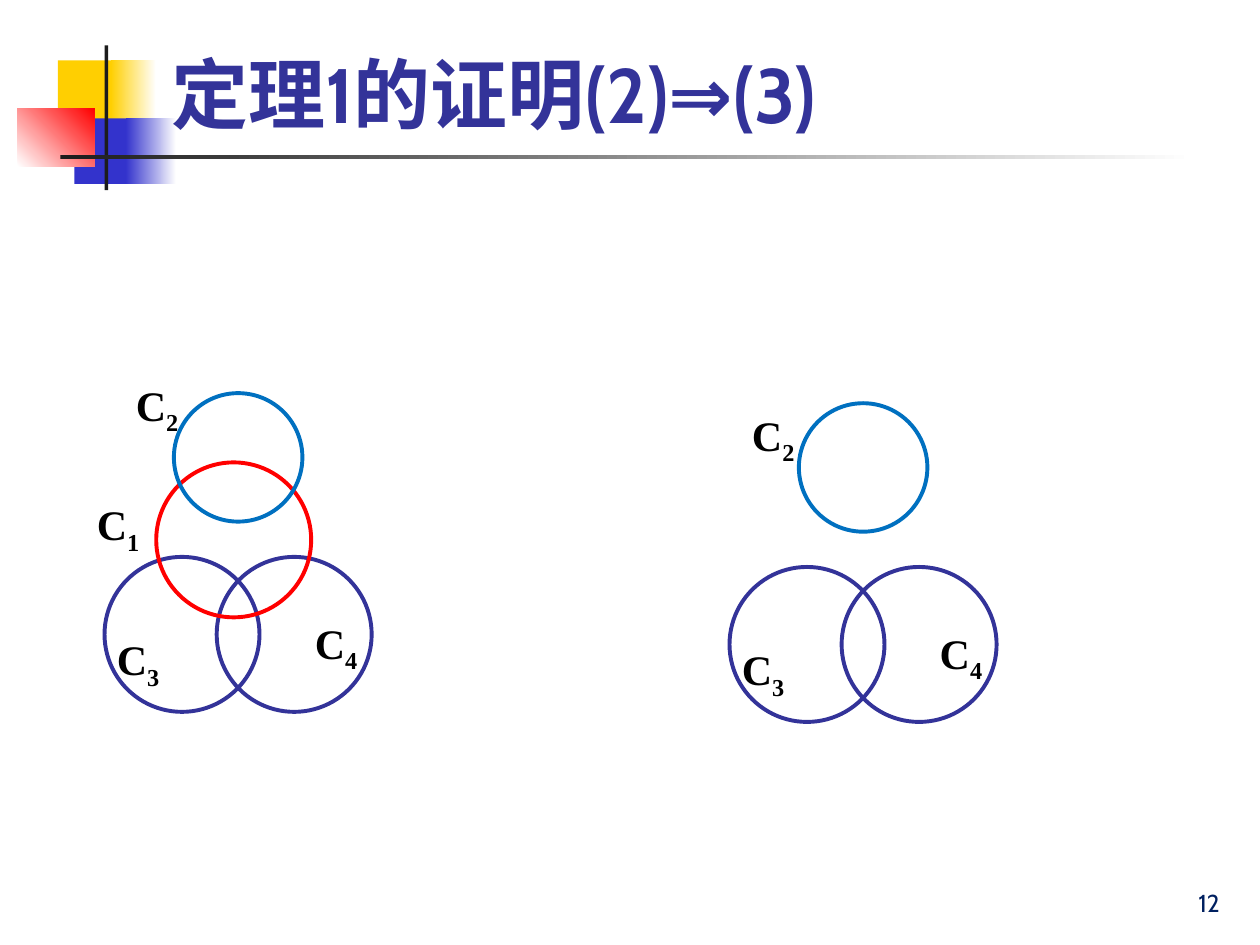
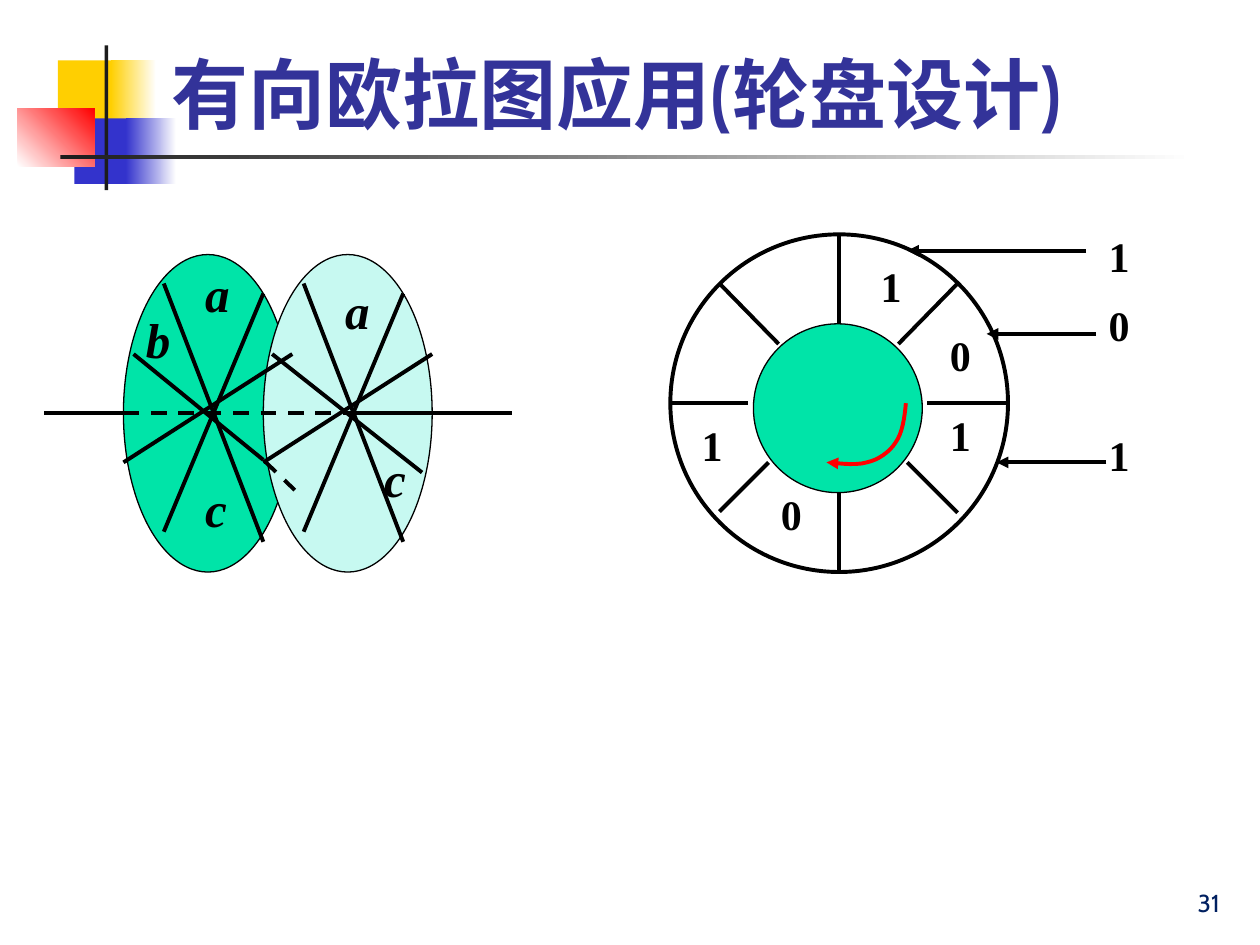
from lxml import etree
from pptx import Presentation
from pptx.dml.color import RGBColor
from pptx.enum.dml import MSO_LINE
from pptx.enum.shapes import MSO_CONNECTOR, MSO_SHAPE
from pptx.enum.text import MSO_ANCHOR, MSO_AUTO_SIZE, PP_ALIGN
from pptx.oxml import parse_xml
from pptx.oxml.ns import nsdecls, qn
from pptx.util import Inches, Pt

RECT, OVAL = MSO_SHAPE.RECTANGLE, MSO_SHAPE.OVAL
STRAIGHT, DASH = MSO_CONNECTOR.STRAIGHT, MSO_LINE.DASH
LEFT, RIGHT = PP_ALIGN.LEFT, PP_ALIGN.RIGHT
TOP, BOTTOM = MSO_ANCHOR.TOP, MSO_ANCHOR.BOTTOM
FIT, NO_FIT = MSO_AUTO_SIZE.SHAPE_TO_FIT_TEXT, MSO_AUTO_SIZE.NONE

# Shared colours and text formats
BLACK, WHITE, INK = "000000", "FFFFFF", "1C1C1C"
NAVY, RED, BLUE = "333399", "FF0000", "0070C0"
YELLOW, INDIGO = "FFCF01", "3333CC"
GREEN, MINT = "00E4A8", "C7F9F1"
TITLE = dict(name="Cabin", size=Pt(44), bold=True, color=NAVY)
NUMBER = dict(name="Cabin", size=Pt(14), color="002060")
LABEL = dict(name="Times New Roman", size=Pt(24), bold=True, color=BLACK)
LETTER = dict(LABEL, size=Pt(28), italic=True)

# Master squares and rules: box, colour or gradient ends, gradient angle
DECORATION = [
    ((0.46, 0.48, 0.48, 0.52), (YELLOW,), 0),
    ((0.88, 0.48, 0.36, 0.52), (YELLOW, WHITE), 0),
    ((0.59, 0.94, 0.46, 0.52), (INDIGO,), 0),
    ((1.0, 0.94, 0.4, 0.52), (INDIGO, WHITE), 0),
    ((0.14, 0.86, 0.61, 0.46), (WHITE, RED), 45),
    ((0.83, 0.36, 0.03, 1.15), (INK,), 0),
    ((0.48, 1.23, 9, 0.03), (INK, WHITE), 0),
]


def rgb(value):
    return RGBColor.from_string(value)


def inches(values):
    return [Inches(v) for v in values]


def add_run(p, text, fmt):
    r = p.add_run()
    r.text = text
    for key, value in fmt.items():
        if key == "color":
            r.font.color.rgb = rgb(value)
        else:
            setattr(r.font, key, value)
    return r


def add_text(shapes, box, text, fmt, sub="", align=LEFT, anchor=TOP, fit=FIT):
    tf = shapes.add_textbox(*inches(box)).text_frame
    tf.word_wrap = fit == NO_FIT
    tf.auto_size, tf.vertical_anchor = fit, anchor
    p = tf.paragraphs[0]
    p.alignment = align
    add_run(p, text, fmt)
    if sub:
        r = add_run(p, sub, fmt)
        r.font._element.set("baseline", "-25000")


def add_oval(shapes, box, line, width=2.25, fill=None):
    sp = shapes.add_shape(OVAL, *inches(box))
    sp.shadow.inherit = False
    sp.line.color.rgb, sp.line.width = rgb(line), Pt(width)
    if fill:
        sp.fill.solid()
        sp.fill.fore_color.rgb = rgb(fill)
    else:
        sp.fill.background()


def add_arrowhead(sp):
    ln = sp._element.spPr.find(qn("a:ln"))
    etree.SubElement(ln, qn("a:tailEnd"), type="triangle")


def add_line(shapes, x, y, ends, dash=None, arrow=False):
    """Draw a line whose ends are measured from (x, y)."""
    x1, y1, x2, y2 = ends
    cxn = shapes.add_connector(STRAIGHT, *inches((x + x1, y + y1, x + x2, y + y2)))
    cxn.line.color.rgb, cxn.line.width = rgb(BLACK), Pt(2.25)
    if dash:
        cxn.line.dash_style = dash
    if arrow:
        add_arrowhead(cxn)
    etree.SubElement(cxn._element.spPr, qn("a:effectLst"))


def add_decoration(shapes):
    for box, colors, angle in DECORATION:
        sp = shapes.add_shape(RECT, *inches(box))
        sp.shadow.inherit = False
        sp.line.fill.background()
        if len(colors) == 1:
            sp.fill.solid()
            sp.fill.fore_color.rgb = rgb(colors[0])
            continue
        sp.fill.gradient()
        sp.fill.gradient_angle = angle
        for stop, color in zip(sp.fill.gradient_stops, colors):
            stop.color.rgb = rgb(color)


def add_title(slide, text):
    title = slide.shapes.title
    title.left, title.top, title.width, title.height = inches((1.26, 0.08, 8.52, 1.07))
    tf = title.text_frame
    tf.word_wrap, tf.auto_size, tf.vertical_anchor = True, NO_FIT, BOTTOM
    p = tf.paragraphs[0]
    p.alignment = LEFT
    rPr = add_run(p, text, TITLE).font._element
    # Text shadow
    rPr.find(qn("a:solidFill")).addnext(parse_xml(
        f'<a:effectLst {nsdecls("a")}><a:outerShdw blurRad="38100" dist="38100" '
        'dir="2700000" algn="tl"><a:srgbClr val="000000"/></a:outerShdw></a:effectLst>'))
    slide.shapes._spTree.append(title._element)  # above the decoration


def new_slide(prs, title, number):
    slide = prs.slides.add_slide(prs.slide_layouts[5])
    add_decoration(slide.shapes)
    add_title(slide, title)
    add_text(slide.shapes, (7.7, 6.83, 2.08, 0.5), number, NUMBER,
             align=RIGHT, anchor=BOTTOM, fit=NO_FIT)
    return slide


def add_cycles(slide, x, y, c2_label, with_c1):
    """Overlapping cycles C1..C4; (x, y) is the top left of the cluster."""
    shapes = slide.shapes.add_group_shape().shapes
    circles = [(0, 1.3, 1.23, NAVY), (0.89, 1.3, 1.23, NAVY), (0.55, 0, 1.02, BLUE)]
    labels = [("2", *c2_label), ("3", 0, 1.86), ("4", 1.57, 1.73)]
    if with_c1:
        circles.insert(2, (0.41, 0.55, 1.23, RED))
        labels.insert(0, ("1", -0.16, 0.79))
    for dx, dy, size, color in circles:
        add_oval(shapes, (x + dx, y + dy, size, size), color)
    for sub, dx, dy in labels:
        add_text(shapes, (x + dx, y + dy, 0.56, 0.51), "C", LABEL, sub)


def add_discs(slide, x, y):
    """Two coaxial discs seen at an angle."""
    shapes = slide.shapes.add_group_shape().shapes
    step = 1.11
    for i, fill in enumerate((GREEN, MINT)):
        add_oval(shapes, (x + i * step, y, 1.34, 2.52), BLACK, 0.75, fill)

    # Axle, hidden part dashed
    for start, end, dash in ((-0.63, 0, None), (0, 1.74, DASH), (1.74, 3.08, None)):
        add_line(shapes, x, y, (start, 1.26, end, 1.26), dash)

    # Diameters of each disc; one differs between them
    for i, crossing in enumerate(((0.08, 0.79, 1.11, 1.63), (0.07, 0.79, 1.26, 1.73))):
        for ends in ((0.32, 0.23, 1.11, 2.28), (1.11, 0.31, 0.32, 2.2),
                     crossing, (0, 1.65, 1.34, 0.79)):
            add_line(shapes, x + i * step, y, ends)
    add_line(shapes, x, y, (1.12, 1.64, 1.36, 1.87), DASH)

    for text, dx, dy, w in (("a", 0.55, 0.02, 0.4), ("a", 1.66, 0.16, 0.4),
                            ("b", 0.08, 0.39, 0.4), ("c", 1.97, 1.49, 0.37),
                            ("c", 0.55, 1.73, 0.37)):
        add_text(shapes, (x + dx, y + dy, w, 0.57), text, LETTER)


def bezier(p0, p1, p2, p3, steps=8):
    """Points along a cubic curve, without its start."""
    for i in range(1, steps + 1):
        t = i / steps
        weights = ((1 - t) ** 3, 3 * t * (1 - t) ** 2, 3 * t ** 2 * (1 - t), t ** 3)
        yield tuple(sum(w * p[k] for w, p in zip(weights, (p0, p1, p2, p3)))
                    for k in (0, 1))


def add_turn_arrow(shapes, x, y):
    nodes = [(0.63, 0), (0.62, 0.12), (0.6, 0.24), (0.55, 0.31), (0.5, 0.39),
             (0.41, 0.45), (0.32, 0.47), (0.22, 0.5), (0.05, 0.47), (0, 0.47)]
    points = [nodes[0]]
    for i in range(0, len(nodes) - 1, 3):
        points += bezier(*nodes[i:i + 4])
    points = [inches((x + dx, y + dy)) for dx, dy in points]
    builder = shapes.build_freeform(*points[0])
    builder.add_line_segments(points[1:], close=False)
    sp = builder.convert_to_shape()
    sp.shadow.inherit = False
    sp.fill.background()
    sp.line.color.rgb, sp.line.width = rgb(RED), Pt(2.25)
    add_arrowhead(sp)


def add_wheel(slide, x, y):
    """Rotating drum with eight sectors and three read contacts."""
    shapes = slide.shapes.add_group_shape().shapes
    add_oval(shapes, (x, y, 2.68, 2.68), BLACK)
    add_oval(shapes, (x + 0.66, y + 0.71, 1.34, 1.34), BLACK, 0.75, GREEN)
    add_turn_arrow(shapes, x + 1.24, y + 1.34)

    # Sector borders
    for ends in ((2.04, 1.34, 2.67, 1.34), (0, 1.34, 0.62, 1.34),
                 (0.78, 1.81, 0.39, 2.2), (1.34, 2.05, 1.34, 2.68),
                 (1.88, 1.81, 2.28, 2.21), (2.28, 0.39, 1.81, 0.87),
                 (1.34, 0, 1.34, 0.71), (0.86, 0.87, 0.39, 0.39)):
        add_line(shapes, x, y, ends)

    # Contacts
    for start, end, dy in ((3.3, 1.88, 0.13), (3.38, 2.51, 0.79), (3.46, 2.59, 1.81)):
        add_line(shapes, x, y, (start, dy, end, dy), arrow=True)

    # Sector digits, then the digits read
    for text, dx, dy in (("0", 2.12, 0.71), ("1", 1.57, 0.16), ("1", 2.12, 1.34),
                         ("0", 0.78, 1.97), ("1", 0.15, 1.42),
                         ("1", 3.38, -0.08), ("0", 3.38, 0.47), ("1", 3.38, 1.5)):
        add_text(shapes, (x + dx, y + dy, 0.37, 0.5), text, LABEL)


def main():
    prs = Presentation()
    prs.slide_width, prs.slide_height = Inches(10), Inches(7.5)

    proof = new_slide(prs, "定理1的证明(2)⇒(3)", "12")
    add_cycles(proof, 0.83, 3.12, (0.15, -0.16), with_c1=True)
    add_cycles(proof, 5.79, 3.2, (0.08, 0), with_c1=False)

    design = new_slide(prs, "有向欧拉图应用(轮盘设计)", "31")
    add_discs(design, 0.98, 2.02)
    add_wheel(design, 5.32, 1.86)

    prs.save("out.pptx")


if __name__ == "__main__":
    main()
